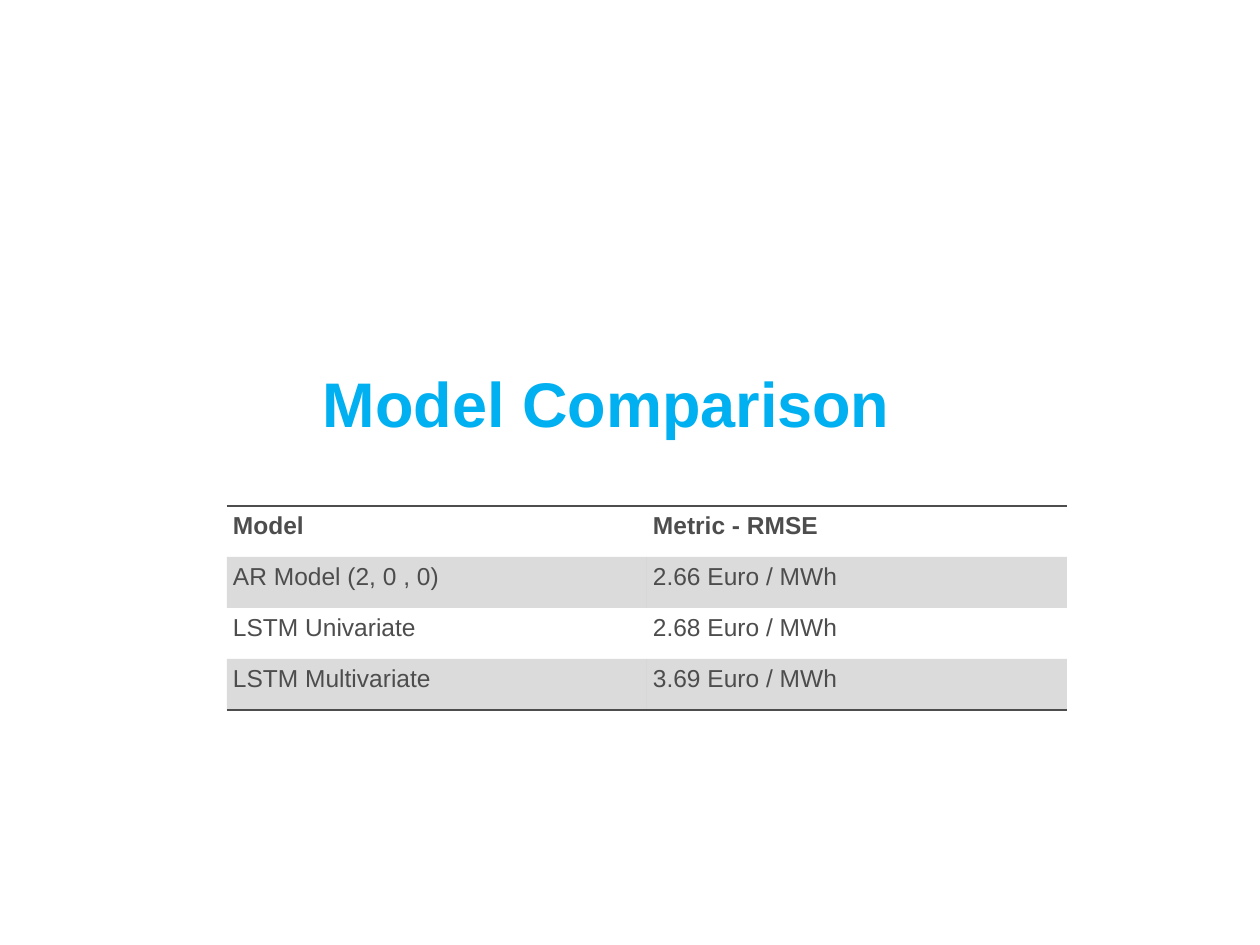
from lxml.etree import SubElement
from pptx import Presentation
from pptx.dml.color import RGBColor
from pptx.enum.text import MSO_ANCHOR as Anchor, PP_ALIGN as Align
from pptx.oxml import parse_xml
from pptx.oxml.ns import nsdecls, qn
from pptx.util import Pt

PX = 914400 // 126
NO_STYLE = "{2D5ABB26-0587-4C30-8999-92F81FD0307C}"
BLUE, GRAY = "00B0F0", "4D4D4D"
ROWS = [
    ("Model", "Metric - RMSE"),
    ("AR Model (2, 0 , 0)", "2.66 Euro / MWh"),
    ("LSTM Univariate", "2.68 Euro / MWh"),
    ("LSTM Multivariate", "3.69 Euro / MWh"),
]


def color(value):
    return RGBColor.from_string(value)


def px(*values):
    return [v * PX for v in values]


class SlideBuilder:
    font = "Arial"
    margin = 6

    def __init__(self, prs):
        self.s = prs.slides.add_slide(prs.slide_layouts[6])

    def add_text(self, tf, text, **fmt):
        p = tf.paragraphs[0]
        p.alignment = fmt.pop("align", Align.LEFT)
        r = p.add_run()
        r.text = text
        r.font.color.rgb = color(fmt.pop("color"))
        for name, value in {"name": self.font, **fmt}.items():
            setattr(r.font, name, value)

    def set_margins(self, target):
        for side in ("left", "top", "right", "bottom"):
            setattr(target, f"margin_{side}", self.margin * PX)

    def title(self, text, *box):
        tf = self.s.shapes.add_textbox(*px(*box)).text_frame
        tf.word_wrap = True
        tf.vertical_anchor = Anchor.MIDDLE
        self.set_margins(tf)
        self.add_text(tf, text, size=Pt(36), bold=True, color=BLUE,
                      align=Align.CENTER)

    def shade(self, cell, value, percent):
        """Fill the cell with a see-through colour."""
        cell.fill.solid()
        cell.fill.fore_color.rgb = color(value)
        clr = cell._tc.tcPr.find(f".//{qn('a:srgbClr')}")
        SubElement(clr, qn("a:alpha"), val=str(percent * 1000))

    def border(self, cell, tag, value):
        cell._tc.tcPr.insert(0, parse_xml(
            f'<a:{tag} {nsdecls("a")} w="{Pt(1)}"><a:solidFill>'
            f'<a:srgbClr val="{value}"/></a:solidFill></a:{tag}>'))

    def table(self, rows, *box):
        frame = self.s.shapes.add_table(len(rows), len(rows[0]), *px(*box))
        table = frame.table
        table._tbl.tblPr.find(qn("a:tableStyleId")).text = NO_STYLE
        last = len(rows) - 1
        for i, row in enumerate(rows):
            for j, text in enumerate(row):
                cell = table.cell(i, j)
                self.set_margins(cell)
                self.add_text(cell.text_frame, text, size=Pt(14),
                              bold=i == 0, color=GRAY)
                if i % 2:
                    self.shade(cell, GRAY, 20)
                else:
                    cell.fill.background()
                if i == 0:
                    self.border(cell, "lnT", GRAY)
                if i == last:
                    self.border(cell, "lnB", GRAY)


def main():
    prs = Presentation()
    prs.slide_width, prs.slide_height = px(1260, 945)
    slide = SlideBuilder(prs)
    slide.title("Model Comparison", 304, 322, 605, 160)
    slide.table(ROWS, 227, 506, 840, 204)
    prs.save("out.pptx")


if __name__ == "__main__":
    main()
